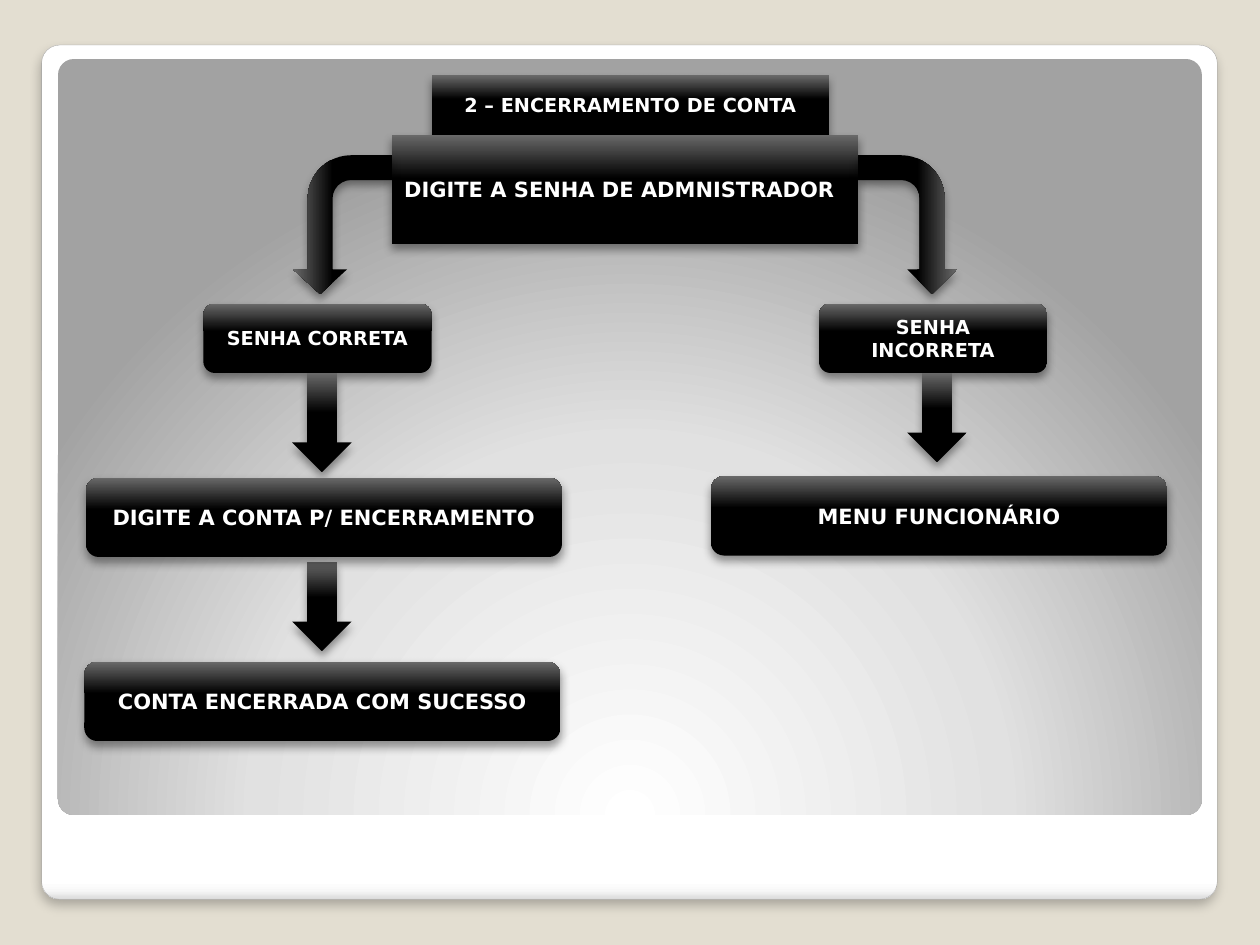
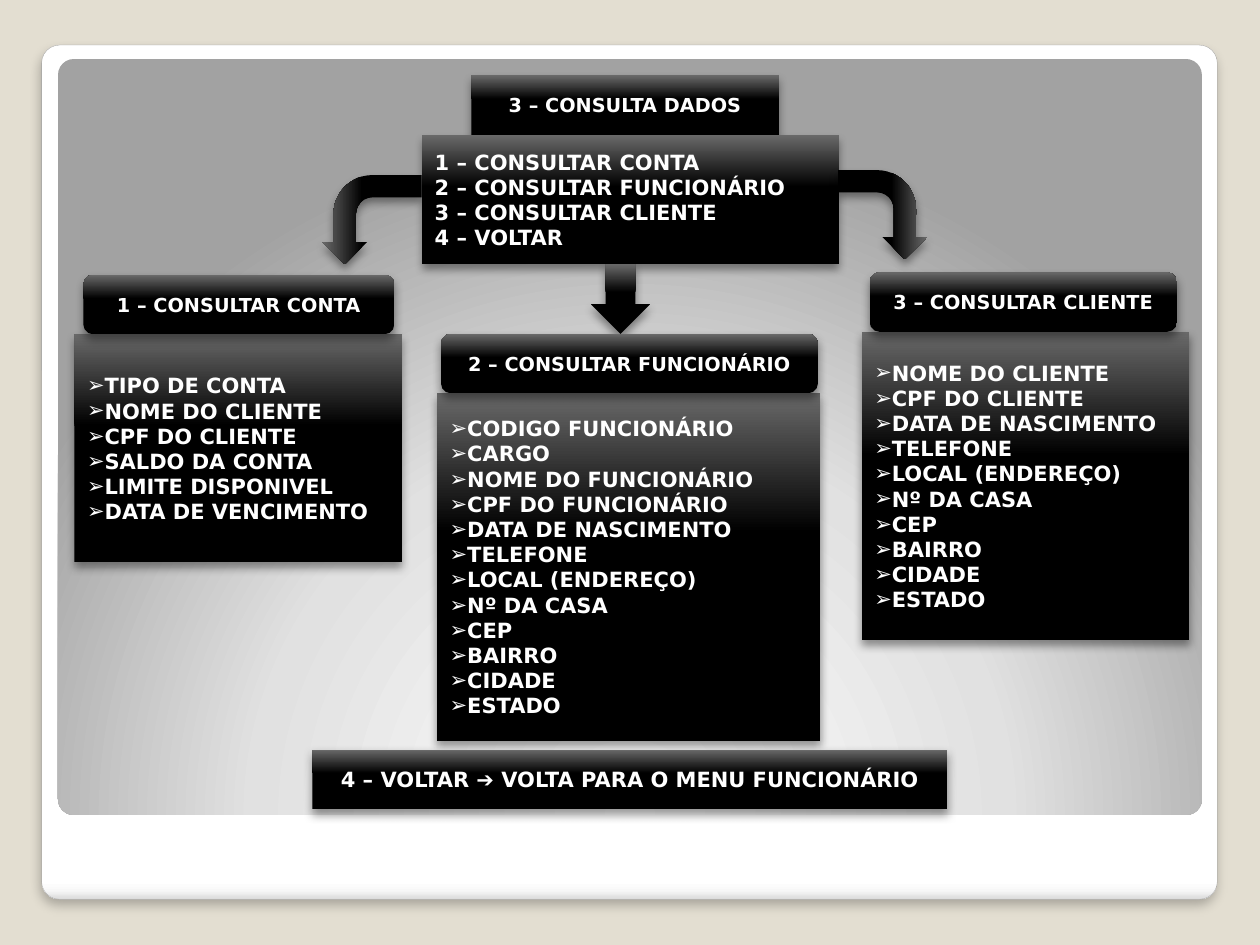
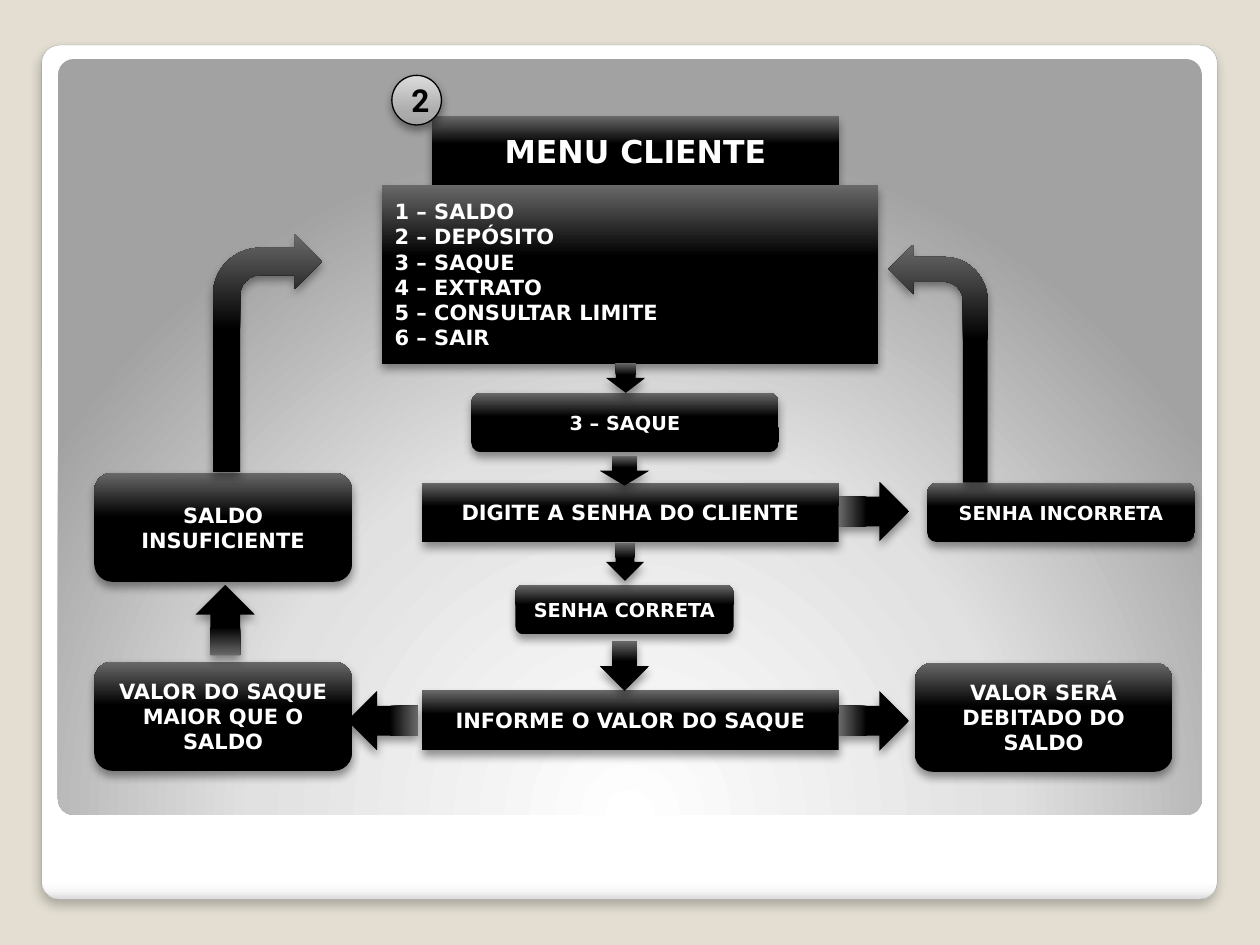
from dataclasses import dataclass

from pptx import Presentation
from pptx.dml.color import RGBColor
from pptx.enum.shapes import MSO_SHAPE
from pptx.enum.text import MSO_ANCHOR, MSO_AUTO_SIZE, PP_ALIGN
from pptx.oxml import parse_xml
from pptx.oxml.ns import nsdecls, qn
from pptx.util import Cm, Pt

ROUND = MSO_SHAPE.ROUNDED_RECTANGLE
RECT = MSO_SHAPE.RECTANGLE
OVAL = MSO_SHAPE.OVAL
DOWN = MSO_SHAPE.DOWN_ARROW
BENT = MSO_SHAPE.BENT_ARROW
LEFT, CENTER, JUSTIFY = PP_ALIGN.LEFT, PP_ALIGN.CENTER, PP_ALIGN.JUSTIFY
MIDDLE = MSO_ANCHOR.MIDDLE
NO_FIT = MSO_AUTO_SIZE.NONE
TITLE_AND_BODY, COMPARISON, TITLE_ONLY = 1, 4, 5
HEADER_H = 1.2


@dataclass(frozen=True)
class Theme:
    font: str = "DejaVu Sans"
    badge_font: str = "Roboto"
    label: int = 11
    body: int = 12
    heading: int = 18
    paper: str = "E3DED1"
    light: str = "FFFFFF"
    dark: str = "000000"
    edge: str = "A4A4A4"
    box_stops: tuple = ((0, "000000"), (60, "000000"), (100, "696969"))
    badge_stops: tuple = ((0, "A2A2A2"), (25, "ABABAB"), (100, "DCDCDC"))
    frame_stops: tuple = ((0, "FFFFFF"), (98, "FFFFFF"), (99, "F7F7F7"), (100, "DADADA"))
    panel_stops: tuple = ((0, "FFFFFF"), (55, "E1E1E1"), (100, "A2A2A2"))
    box_shadow: tuple = (40, 5.2, 3)
    frame_shadow: tuple = (25, 6, 4)
    linear_up: str = '<a:lin ang="16200000" scaled="0"/>'
    linear_down: str = '<a:lin ang="5400000" scaled="0"/>'
    glow: str = ('<a:path path="circle"><a:fillToRect l="50000" t="175000" '
                 'r="50000" b="-75000"/></a:path>')


class Deck:
    def __init__(self, theme):
        self.theme = theme
        self.prs = Presentation()
        self.prs.slide_width, self.prs.slide_height = Cm(25.4), Cm(19.05)
        fill = self.prs.slide_master.background.fill
        fill.solid()
        fill.fore_color.rgb = RGBColor.from_string(theme.paper)

    def new_slide(self, layout):
        self.slide = self.prs.slides.add_slide(self.prs.slide_layouts[layout])
        self.bodies = iter([sp for sp in self.slide.placeholders
                            if sp.placeholder_format.idx])

    def paint(self, sp, stops, direction, shadow=None, line=None):
        gs = "".join(f'<a:gs pos="{pos * 1000}"><a:srgbClr val="{color}"/></a:gs>'
                     for pos, color in stops)
        sp.fill.background()
        spPr = sp.element.spPr
        spPr.replace(spPr.find(qn("a:noFill")), parse_xml(
            f'<a:gradFill {nsdecls("a")} rotWithShape="1"><a:gsLst>{gs}</a:gsLst>'
            f'{direction}</a:gradFill>'))
        if line:
            color, width = line
            sp.line.color.rgb = RGBColor.from_string(color)
            sp.line.width = Pt(width)
        else:
            sp.line.fill.background()
        sp.shadow.inherit = False
        if shadow:
            alpha, blur, dist = shadow
            spPr.find(qn("a:effectLst")).append(parse_xml(
                f'<a:outerShdw {nsdecls("a")} blurRad="{Pt(blur)}" dist="{Pt(dist)}" '
                f'dir="5400000" algn="ctr" rotWithShape="0"><a:srgbClr val="{self.theme.dark}">'
                f'<a:alpha val="{alpha * 1000}"/></a:srgbClr></a:outerShdw>'))

    def shape(self, kind, at):
        return self.slide.shapes.add_shape(kind, *map(Cm, at))

    def backdrop(self):
        t = self.theme
        frame = self.shape(ROUND, (0.84, 0.91, 23.7, 17.22))
        self.paint(frame, t.frame_stops, t.linear_down, t.frame_shadow, (t.edge, 0.16))
        panel = self.shape(ROUND, (1.17, 1.19, 23.06, 15.24))
        self.paint(panel, t.panel_stops, t.glow)
        tree = self.prs.slide_master.shapes.element
        for i, sp in enumerate((frame, panel)):
            sp.adjustments[0] = 0.021
            sp.element.nvSpPr.cNvPr.id = 101 + i
            tree.insert(2 + i, sp.element)

    def set_text(self, sp, text, size, align, bullet=None, font=None, color=None):
        tf = sp.text_frame
        tf.text = text
        tf.word_wrap = True
        tf.auto_size = NO_FIT
        tf.vertical_anchor = MIDDLE
        for p in tf.paragraphs:
            pPr = p._p.get_or_add_pPr()
            pPr.set("marL", "0")
            pPr.set("indent", "0")
            mark = f'buChar {nsdecls("a")} char="{bullet}"' if bullet else f'buNone {nsdecls("a")}'
            pPr.append(parse_xml(f"<a:{mark}/>"))
            p.alignment = align
            p.space_before = Pt(0)
            for r in p.runs:
                r.font.name = font or self.theme.font
                r.font.size = Pt(size)
                r.font.bold = True
                r.font.color.rgb = RGBColor.from_string(color or self.theme.light)

    def dark(self, sp):
        self.paint(sp, self.theme.box_stops, self.theme.linear_up, self.theme.box_shadow)

    def place(self, sp, at):
        sp.left, sp.top, sp.width, sp.height = map(Cm, at)

    def title(self, text, at, size):
        sp = self.slide.shapes.title
        self.place(sp, at)
        sp.element.spPr.append(parse_xml(
            f'<a:prstGeom {nsdecls("a")} prst="roundRect"><a:avLst/></a:prstGeom>'))
        self.dark(sp)
        self.set_text(sp, text, size, CENTER)

    def list(self, items, at, bullet=None):
        sp = next(self.bodies)
        self.place(sp, at)
        self.dark(sp)
        self.set_text(sp, "\n".join(items), self.theme.body, JUSTIFY if bullet else LEFT, bullet)

    def box(self, text, at, size, kind=ROUND, align=CENTER):
        sp = self.shape(kind, at)
        self.dark(sp)
        self.set_text(sp, text, size, align)

    def arrow(self, kind, at, rotation=0, flip=None):
        sp = self.shape(kind, at)
        sp.rotation = rotation
        if flip:
            sp.element.spPr.find(qn("a:xfrm")).set(flip, "1")
        self.dark(sp)
        return sp

    def badge(self, text, at):
        t = self.theme
        sp = self.shape(OVAL, at)
        self.paint(sp, t.badge_stops, t.linear_up, t.box_shadow, (t.dark, 0.75))
        self.set_text(sp, text, t.heading, CENTER, font=t.badge_font, color=t.dark)


def closing_slide(deck):
    t = deck.theme
    deck.new_slide(TITLE_ONLY)
    deck.backdrop()
    deck.title("2 – ENCERRAMENTO DE CONTA", (8.71, 1.52, 8, HEADER_H), t.label)
    deck.box("DIGITE A SENHA DE ADMNISTRADOR", (7.9, 2.72, 9.4, 2.2), t.body, RECT, LEFT)
    for text, left in (("SENHA CORRETA", 4.1), ("SENHA INCORRETA", 16.51)):
        deck.box(text, (left, 6.12, 4.6, 1.4), t.label)
    deck.arrow(BENT, (16.89, 3.53, 2.8, 2), 90)
    to_correct = deck.arrow(BENT, (5.51, 3.53, 2.8, 2), 270, "flipH")
    to_correct.adjustments[1] = 0.272
    for left, top, height in ((18.29, 7.52, 1.8), (5.89, 7.52, 2), (5.89, 11.33, 1.8)):
        deck.arrow(DOWN, (left, top, 1.2, height))
    for text, left, top, width in (
        ("MENU FUNCIONÁRIO", 14.33, 9.6, 9.2),
        ("DIGITE A CONTA P/ ENCERRAMENTO", 1.73, 9.63, 9.6),
        ("CONTA ENCERRADA COM SUCESSO", 1.7, 13.34, 9.6),
    ):
        deck.box(text, (left, top, width, 1.6), t.body)


def query_slide(deck):
    t = deck.theme
    options = ["1 – CONSULTAR CONTA", "2 – CONSULTAR FUNCIONÁRIO", "3 – CONSULTAR CLIENTE"]
    address = ["LOCAL (ENDEREÇO)", "Nº DA CASA", "CEP", "BAIRRO", "CIDADE", "ESTADO"]
    person = ["DATA DE NASCIMENTO", "TELEFONE", *address]
    account = ["TIPO DE CONTA", "NOME DO CLIENTE", "CPF DO CLIENTE", "SALDO DA CONTA",
               "LIMITE DISPONIVEL", "DATA DE VENCIMENTO"]
    employee = ["CODIGO FUNCIONÁRIO", "CARGO", "NOME DO FUNCIONÁRIO", "CPF DO FUNCIONÁRIO",
                *person]
    client = ["NOME DO CLIENTE", "CPF DO CLIENTE", *person]
    columns = (
        (account, 1.68, 5.54, 6.27, 1.5, 6.6, 4.6),
        (employee, 8.89, 6.73, 7.6, 8.81, 7.72, 7),
        (client, 17.53, 5.49, 6.2, 17.37, 6.6, 6.22),
    )
    deck.new_slide(COMPARISON)
    deck.title("3 – CONSULTA DADOS", (9.5, 1.52, 6.2, HEADER_H), t.label)
    deck.list([*options, "4 – VOLTAR"], (8.51, 2.72, 8.4, 2.6))
    deck.arrow(BENT, (16.89, 3.43, 1.8, 1.8), 90)
    deck.arrow(BENT, (6.6, 3.43, 1.8, 2), 90, "flipV")
    deck.arrow(DOWN, (11.91, 5.33, 1.2, 1.4))
    for option, (items, left, top, width, list_left, list_width, height) in zip(options, columns):
        deck.box(option, (left, top, width, HEADER_H), t.label)
        deck.list(items, (list_left, top + HEADER_H, list_width, height), "➢")
    deck.box("4 – VOLTAR ➔ VOLTA PARA O MENU FUNCIONÁRIO", (6.3, 15.11, 12.8, 1.2), t.body, RECT)


def withdrawal_slide(deck):
    t = deck.theme
    deck.new_slide(TITLE_AND_BODY)
    deck.title("MENU CLIENTE", (8.71, 2.34, 8.2, 1.4), t.heading)
    deck.list(["1 – SALDO", "2 – DEPÓSITO", "3 – SAQUE", "4 – EXTRATO",
               "5 – CONSULTAR LIMITE", "6 – SAIR"], (7.7, 3.73, 10, 3.6))
    for text, at in (
        ("3 – SAQUE", (9.5, 7.92, 6.2, 1.2)),
        ("SENHA INCORRETA", (18.69, 9.73, 5.4, 1.2)),
        ("SENHA CORRETA", (10.39, 11.79, 4.4, 1)),
    ):
        deck.box(text, at, t.label)
    for text, top in (("DIGITE A SENHA DO CLIENTE", 9.73), ("INFORME O VALOR DO SAQUE", 13.92)):
        deck.box(text, (8.51, top, 8.4, 1.2), t.body, RECT)
    for text, left, top in (
        ("VALOR SERÁ DEBITADO DO SALDO", 18.44, 13.36),
        ("VALOR DO SAQUE MAIOR QUE O\nSALDO", 1.9, 13.34),
        ("SALDO INSUFICIENTE", 1.9, 9.53),
    ):
        deck.box(text, (left, top, 5.2, 2.2), t.body)
    for at in ((12.22, 7.32, 0.79, 0.6), (12.09, 9.19, 1, 0.6),
               (12.22, 10.95, 0.76, 0.76), (12.09, 12.93, 1, 1)):
        deck.arrow(DOWN, at)
    for left, top, rotation in ((17.02, 13.82, 270), (7.11, 13.82, 90),
                                (3.94, 11.79, 180), (17.02, 9.6, 270)):
        deck.arrow(DOWN, (left, top, 1.2, 1.42), rotation)
    deck.arrow(BENT, (4.29, 4.72, 2.2, 4.8))
    deck.arrow(BENT, (17.91, 4.93, 2, 4.8), flip="flipH")
    deck.badge("2", (7.9, 1.52, 1, 1))


def main():
    deck = Deck(Theme())
    closing_slide(deck)
    query_slide(deck)
    withdrawal_slide(deck)
    deck.prs.save("out.pptx")


if __name__ == "__main__":
    main()
